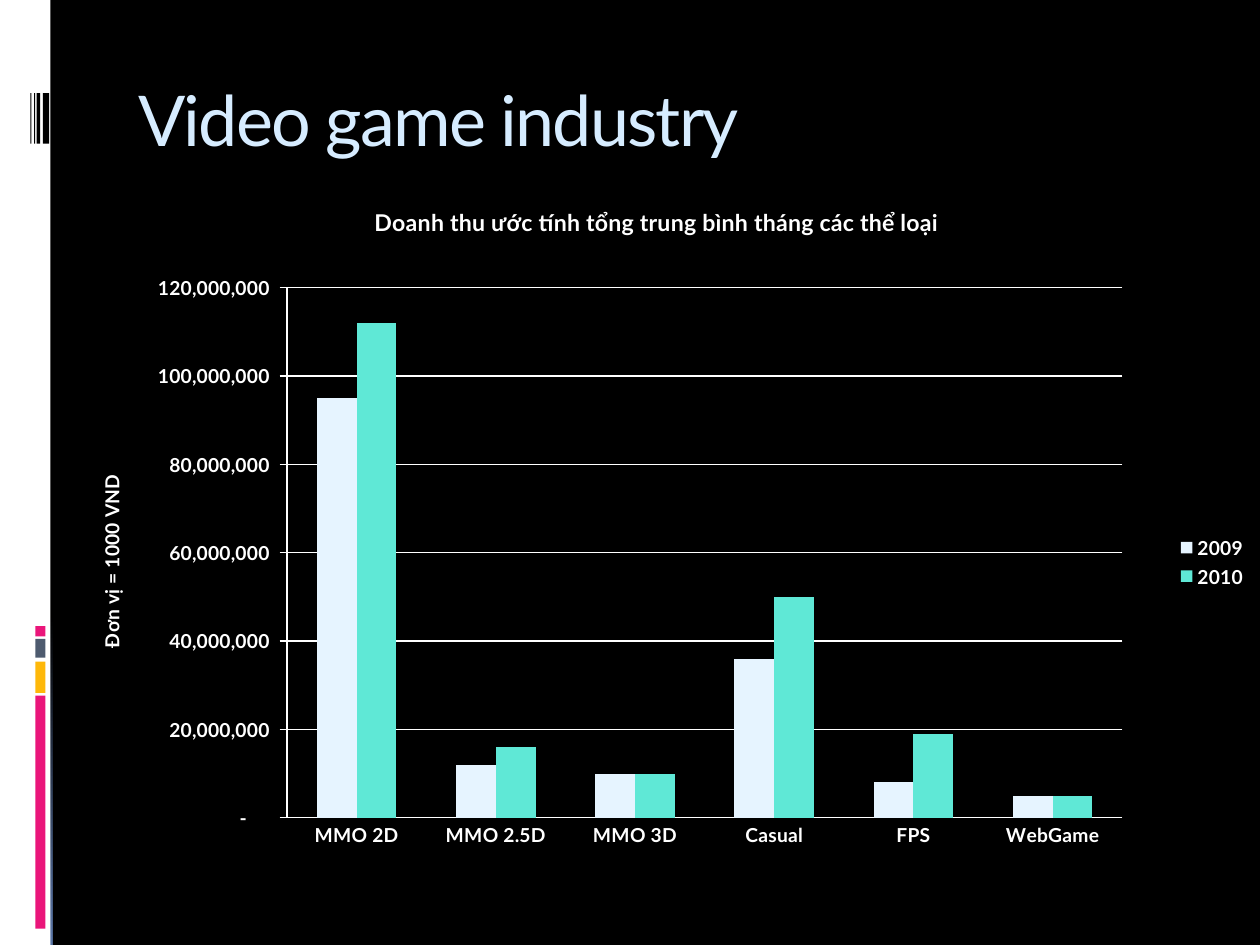
"""Build the video game industry revenue slide."""
from lxml import etree
from pptx import Presentation
from pptx.chart.data import CategoryChartData
from pptx.dml.color import RGBColor
from pptx.enum import chart as charts, shapes, text
from pptx.oxml import parse_xml
from pptx.oxml.ns import nsdecls, qn
from pptx.util import Inches, Pt


def color(value):
    return RGBColor.from_string(value)


def write(frame, words, size, fill="FFFFFF", bold=False, spacing=None, rotation=None):
    run = frame.paragraphs[0].add_run()
    run.text = words
    run.font.name = "Lato"
    run.font.size = Pt(size)
    run.font.bold = bold
    run.font.color.rgb = color(fill)
    if spacing is not None:
        run.font._element.set("spc", str(spacing * 100))
    if rotation is not None:
        frame._txBody.bodyPr.set("rot", str(rotation * 60000))
        frame._txBody.bodyPr.set("vert", "horz")


presentation = Presentation()
presentation.slide_width, presentation.slide_height = Inches(10), Inches(7.5)
slide = presentation.slides.add_slide(presentation.slide_layouts[6])

background = slide.background.fill
background.gradient()
background.gradient_angle = 270
for stop, (position, shade) in zip(background.gradient_stops, [(0.65, "000000"), (1, "5B77A8")]):
    stop.position = position
    stop.color.rgb = color(shade)

side_bar = [(0, 0, 0.4, 7.5, "FFFFFF")]
accent_blocks = [
    (0.28, top, 0.08, height, fill)
    for top, height, fill in [
        (5.52, 1.85, "EA157A"),
        (5.25, 0.25, "FEB80A"),
        (5.07, 0.15, "4E5B6F"),
        (4.97, 0.08, "EA157A"),
    ]
]
barcode = [
    (left, 0.74, width, 0.4, "000000")
    for left, width in [(0.34, 0.05), (0.29, 0.03), (0.27, 0.01), (0.24, 0.01)]
]
for left, top, width, height, fill in side_bar + accent_blocks + barcode:
    shape = slide.shapes.add_shape(
        shapes.MSO_SHAPE.RECTANGLE, Inches(left), Inches(top), Inches(width), Inches(height)
    )
    shape.shadow.inherit = False
    shape.fill.solid()
    shape.fill.fore_color.rgb = color(fill)
    shape.line.fill.background()

title = slide.shapes.add_textbox(Inches(1), Inches(0.56), Inches(8.5), Inches(1))
title.text_frame.word_wrap = True
title.text_frame.vertical_anchor = text.MSO_ANCHOR.TOP
write(title.text_frame, "Video game industry", 40, fill="D6ECFF", spacing=-1)

revenue = CategoryChartData()
revenue.categories = ["MMO 2D", "MMO 2.5D", "MMO 3D", "Casual", "FPS", "WebGame"]
revenue.add_series("2009", [95000000, 12000000, 10000000, 36000000, 8000000, 5000000])
revenue.add_series("2010", [112000000, 16000000, 10000000, 50000000, 19000000, 5000000])
chart = slide.shapes.add_chart(
    charts.XL_CHART_TYPE.COLUMN_CLUSTERED,
    Inches(0.42), Inches(1.42), Inches(9.58), Inches(6.08), revenue,
).chart
chart.font.name = "Lato"
chart.font.size = Pt(11)
chart.font.bold = True
chart.font.color.rgb = color("FFFFFF")
chart.has_title = True
write(
    chart.chart_title.text_frame,
    "Doanh thu ước tính tổng trung bình tháng các thể loại", 13.2, bold=True,
)
chart.has_legend = True
chart.legend.position = charts.XL_LEGEND_POSITION.RIGHT
chart.legend.include_in_layout = False

plot = chart.plots[0]
plot.vary_by_categories = False
plot.gap_width = 150
plot.overlap = 0
for series, fill in zip(plot.series, ["E6F4FF", "5FE8D6"]):
    series.format.fill.solid()
    series.format.fill.fore_color.rgb = color(fill)

category_axis, value_axis = chart.category_axis, chart.value_axis
category_axis.major_tick_mark = charts.XL_TICK_MARK.NONE
value_axis.major_tick_mark = charts.XL_TICK_MARK.OUTSIDE
value_axis.minimum_scale = 0
value_axis.maximum_scale = 120000000
value_axis.major_unit = 20000000
value_axis.has_major_gridlines = True
value_axis.tick_labels.number_format = '_(* #,##0_);_(* \\(#,##0\\);_(* "-"??_);_('
value_axis.tick_labels.number_format_is_linked = False
write(value_axis.axis_title.text_frame, "Đơn vị = 1000 VND", 11, bold=True, rotation=-90)
for line in (category_axis.format.line, value_axis.format.line, value_axis.major_gridlines.format.line):
    line.color.rgb = color("FFFFFF")
    line.width = Pt(0.75)

chart_element = chart._chartSpace.chart
chart_element.addnext(parse_xml(
    f'<c:spPr {nsdecls("c", "a")}><a:solidFill><a:srgbClr val="000000"/></a:solidFill>'
    "<a:ln><a:noFill/></a:ln></c:spPr>"
))
plot_area = chart_element.plotArea
for layout in plot_area.findall(qn("c:layout")):
    plot_area.remove(layout)
layout = parse_xml(f'<c:layout {nsdecls("c")}><c:manualLayout/></c:layout>')
for tag, value in [
    ("layoutTarget", "inner"), ("xMode", "edge"), ("yMode", "edge"),
    ("x", "0.194"), ("y", "0.142"), ("w", "0.692"), ("h", "0.692"),
]:
    etree.SubElement(layout[0], qn(f"c:{tag}")).set("val", value)
plot_area.insert(0, layout)

presentation.save("out.pptx")
